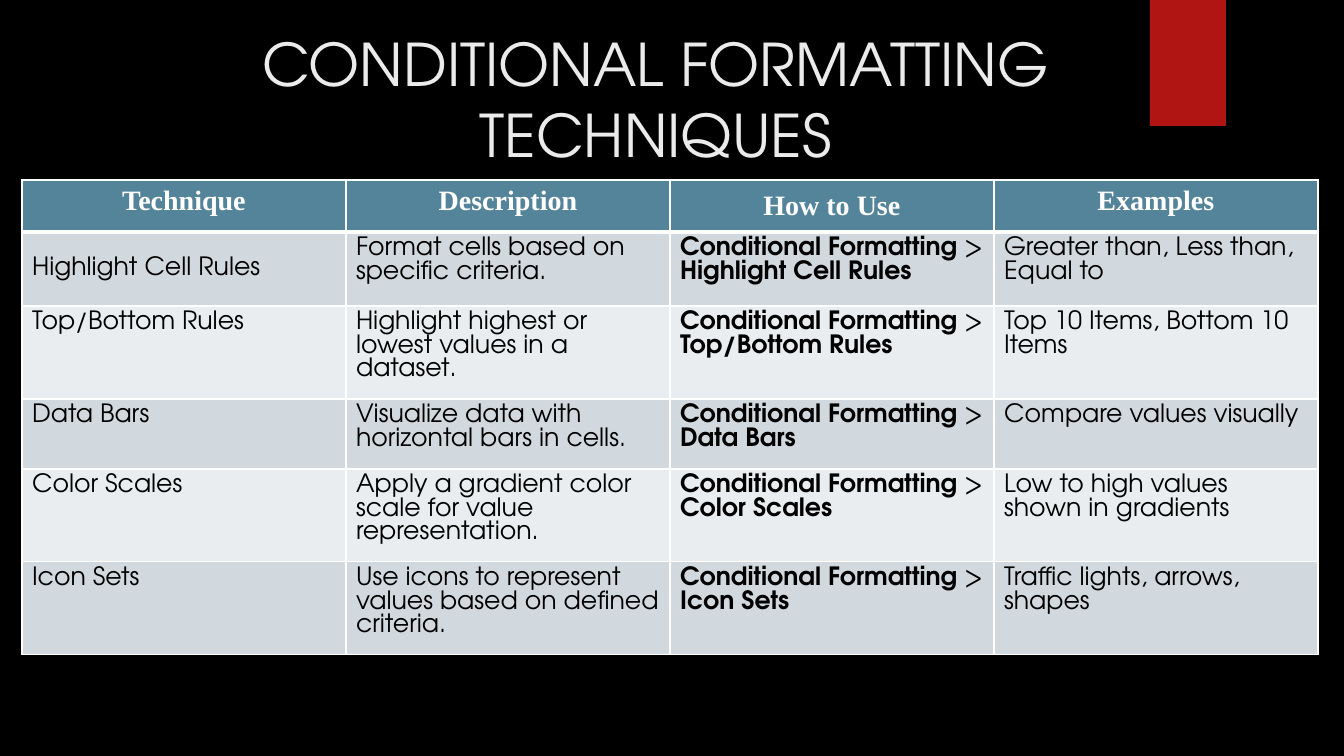
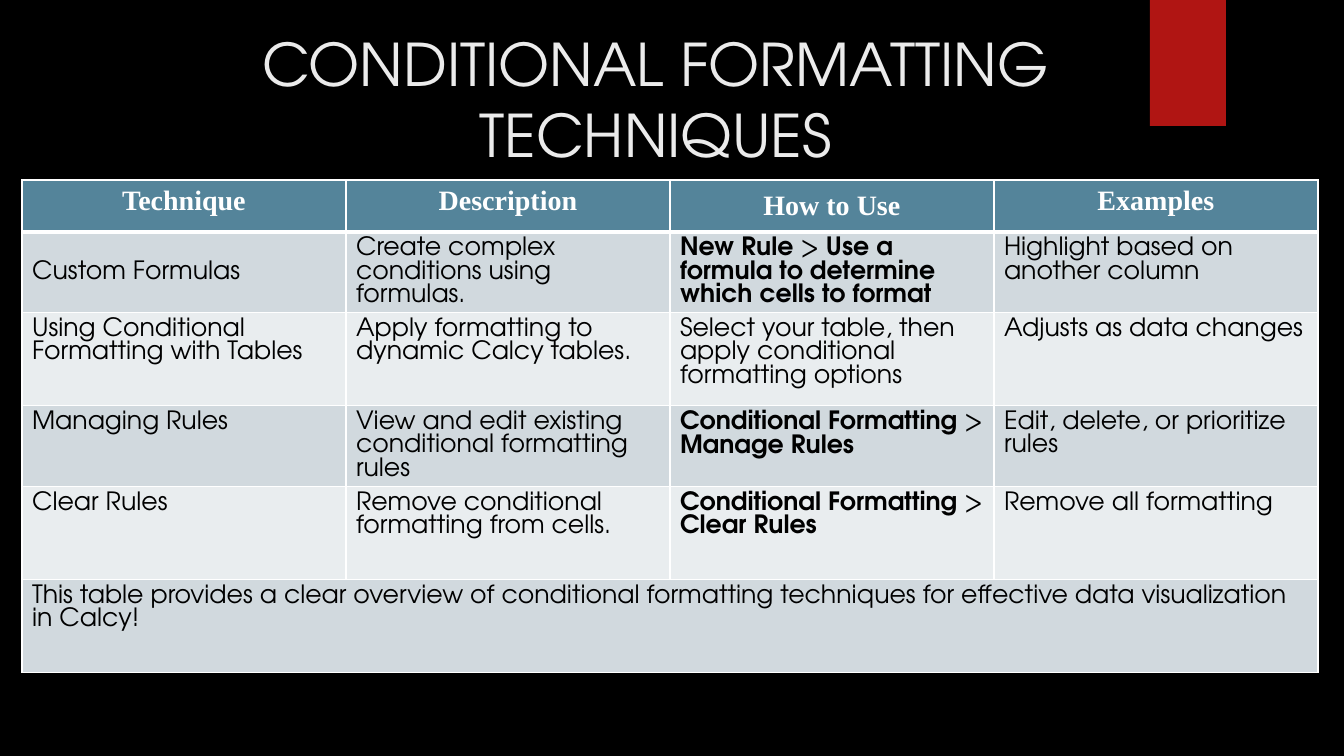
from dataclasses import dataclass

from lxml import etree
from pptx import Presentation
from pptx.dml import color
from pptx.enum import shapes, text
from pptx.oxml import ns
from pptx.util import Emu, Pt


@dataclass(frozen=True)
class Theme:
    background: str = "000000"
    ribbon: str = "B01513"
    heading: str = "EBEBEB"
    header_fill: str = "54849A"
    header_ink: str = "FFFFFF"
    body_ink: str = "000000"
    bands: tuple[str, str] = ("D1D9DE", "E9EDEF")
    border: str = "FFFFFF"
    thin: float = 1
    thick: float = 3
    sans: str = "TeX Gyre Adventor"
    serif: str = "Times New Roman"
    heading_size: float = 42
    heading_pitch: float = 50.4
    header_size: float = 20
    body_size: float = 18
    body_pitch: float = 16.8


@dataclass(frozen=True)
class Box:
    left: int
    top: int
    width: int
    height: int

    def emu(self) -> tuple[Emu, Emu, Emu, Emu]:
        return px(self.left), px(self.top), px(self.width), px(self.height)


@dataclass(frozen=True)
class Style:
    font: str
    size: float
    ink: str
    pitch: float | None = None
    centred: bool = False


@dataclass(frozen=True)
class Run:
    words: str
    bold: bool = False


@dataclass(frozen=True)
class Technique:
    name: str
    description: str
    usage: tuple[Run, ...]
    examples: str

    def cells(self) -> list[tuple[Run, ...]]:
        return [plain(self.name), plain(self.description), self.usage, plain(self.examples)]


@dataclass(frozen=True)
class Overview:
    techniques: tuple[Technique, ...]
    closing: str = ""


def plain(words: str) -> tuple[Run, ...]:
    return (Run(words),)


def menu(*steps: str) -> tuple[Run, ...]:
    runs = [Run(steps[0], True)]
    for step in steps[1:]:
        runs += [Run(" > "), Run(step, True)]
    return tuple(runs)


THEME = Theme()
EMU_PER_INCH = 914400
PX_PER_INCH = 100.8
SLIDE = Box(0, 0, 1344, 756)
RIBBON = Box(1150, 0, 76, 126)
HEADING = Box(137, 23, 1037, 80)
GRID = Box(22, 180, 1296, 475)
ROW_HEIGHTS = (52, 74, 93, 70, 93, 93)
HEADERS = ("Technique", "Description", "How to Use", "Examples")
MIDDLE_CELLS = {(0, 2), (1, 0)}
TITLE = "CONDITIONAL FORMATTING TECHNIQUES"
FORMATTING = "Conditional Formatting"

HEADING_STYLE = Style(THEME.sans, THEME.heading_size, THEME.heading, THEME.heading_pitch, True)
HEADER_STYLE = Style(THEME.serif, THEME.header_size, THEME.header_ink, centred=True)
BODY_STYLE = Style(THEME.sans, THEME.body_size, THEME.body_ink, THEME.body_pitch)

OVERVIEWS = (
    Overview((
        Technique("Highlight Cell Rules", "Format cells based on specific criteria.",
                  menu(FORMATTING, "Highlight Cell Rules"), "Greater than, Less than, Equal to"),
        Technique("Top/Bottom Rules", "Highlight highest or lowest values in a dataset.",
                  menu(FORMATTING, "Top/Bottom Rules"), "Top 10 Items, Bottom 10 Items"),
        Technique("Data Bars", "Visualize data with horizontal bars in cells.",
                  menu(FORMATTING, "Data Bars"), "Compare values visually"),
        Technique("Color Scales", "Apply a gradient color scale for value representation.",
                  menu(FORMATTING, "Color Scales"), "Low to high values shown in gradients"),
        Technique("Icon Sets", "Use icons to represent values based on defined criteria.",
                  menu(FORMATTING, "Icon Sets"), "Traffic lights, arrows, shapes"),
    )),
    Overview((
        Technique("Custom Formulas", "Create complex conditions using formulas.",
                  menu("New Rule", "Use a formula to determine which cells to format"),
                  "Highlight based on another column"),
        Technique("Using Conditional Formatting with Tables",
                  "Apply formatting to dynamic Calcy tables.",
                  plain("Select your table, then apply conditional formatting options"),
                  "Adjusts as data changes"),
        Technique("Managing Rules", "View and edit existing conditional formatting rules",
                  menu(FORMATTING, "Manage Rules"), "Edit, delete, or prioritize rules"),
        Technique("Clear Rules", "Remove conditional formatting from cells.",
                  menu(FORMATTING, "Clear Rules"), "Remove all formatting"),
    ), "This table provides a clear overview of conditional formatting techniques "
       "for effective data visualization in Calcy!"),
)


def px(length: int) -> Emu:
    return Emu(round(length * EMU_PER_INCH / PX_PER_INCH))


def rgb(code: str) -> color.RGBColor:
    return color.RGBColor.from_string(code)


def write(frame, runs: tuple[Run, ...], style: Style) -> None:
    paragraph = frame.paragraphs[0]
    paragraph.alignment = text.PP_ALIGN.CENTER if style.centred else text.PP_ALIGN.LEFT
    if style.pitch:
        paragraph.line_spacing = Pt(style.pitch)
    for part in runs:
        run = paragraph.add_run()
        run.text = part.words
        run.font.name = style.font
        run.font.size = Pt(style.size)
        run.font.bold = part.bold
        run.font.color.rgb = rgb(style.ink)


def draw_borders(cell, row: int) -> None:
    properties = cell._tc.get_or_add_tcPr()
    widths = {
        "a:lnL": THEME.thin,
        "a:lnR": THEME.thin,
        "a:lnT": THEME.thick if row == 1 else THEME.thin,
        "a:lnB": THEME.thick if row == 0 else THEME.thin,
    }
    for side, width in widths.items():
        line = etree.SubElement(properties, ns.qn(side), w=str(Pt(width)))
        fill = etree.SubElement(line, ns.qn("a:solidFill"))
        etree.SubElement(fill, ns.qn("a:srgbClr"), val=THEME.border)


def draw_heading(slide) -> None:
    ribbon = slide.shapes.add_shape(shapes.MSO_SHAPE.RECTANGLE, *RIBBON.emu())
    ribbon.shadow.inherit = False
    ribbon.fill.solid()
    ribbon.fill.fore_color.rgb = rgb(THEME.ribbon)
    ribbon.line.fill.background()
    heading = slide.shapes.add_textbox(*HEADING.emu()).text_frame
    heading.word_wrap = True
    heading.vertical_anchor = text.MSO_ANCHOR.TOP
    write(heading, plain(TITLE), HEADING_STYLE)


def draw_overview(slide, overview: Overview) -> None:
    rows = [[(Run(header, True),) for header in HEADERS]]
    rows += [technique.cells() for technique in overview.techniques]
    if overview.closing:
        rows.append([plain(overview.closing)])
    grid = slide.shapes.add_table(len(rows), len(HEADERS), *GRID.emu()).table
    for column in grid.columns:
        column.width = px(GRID.width // len(HEADERS))
    for row, height in enumerate(ROW_HEIGHTS):
        grid.rows[row].height = px(height)
        fill = THEME.bands[(row - 1) % 2] if row else THEME.header_fill
        for column in range(len(HEADERS)):
            cell = grid.cell(row, column)
            draw_borders(cell, row)
            cell.fill.solid()
            cell.fill.fore_color.rgb = rgb(fill)
            middle = (row, column) in MIDDLE_CELLS
            cell.vertical_anchor = text.MSO_ANCHOR.MIDDLE if middle else text.MSO_ANCHOR.TOP
        for column, runs in enumerate(rows[row]):
            write(grid.cell(row, column).text_frame, runs, BODY_STYLE if row else HEADER_STYLE)
    if overview.closing:
        last = len(rows) - 1
        grid.cell(last, 0).merge(grid.cell(last, len(HEADERS) - 1))


def main() -> None:
    deck = Presentation()
    deck.slide_width, deck.slide_height = px(SLIDE.width), px(SLIDE.height)
    for overview in OVERVIEWS:
        slide = deck.slides.add_slide(deck.slide_layouts[6])
        slide.background.fill.solid()
        slide.background.fill.fore_color.rgb = rgb(THEME.background)
        draw_heading(slide)
        draw_overview(slide, overview)
    deck.save("out.pptx")


if __name__ == "__main__":
    main()
